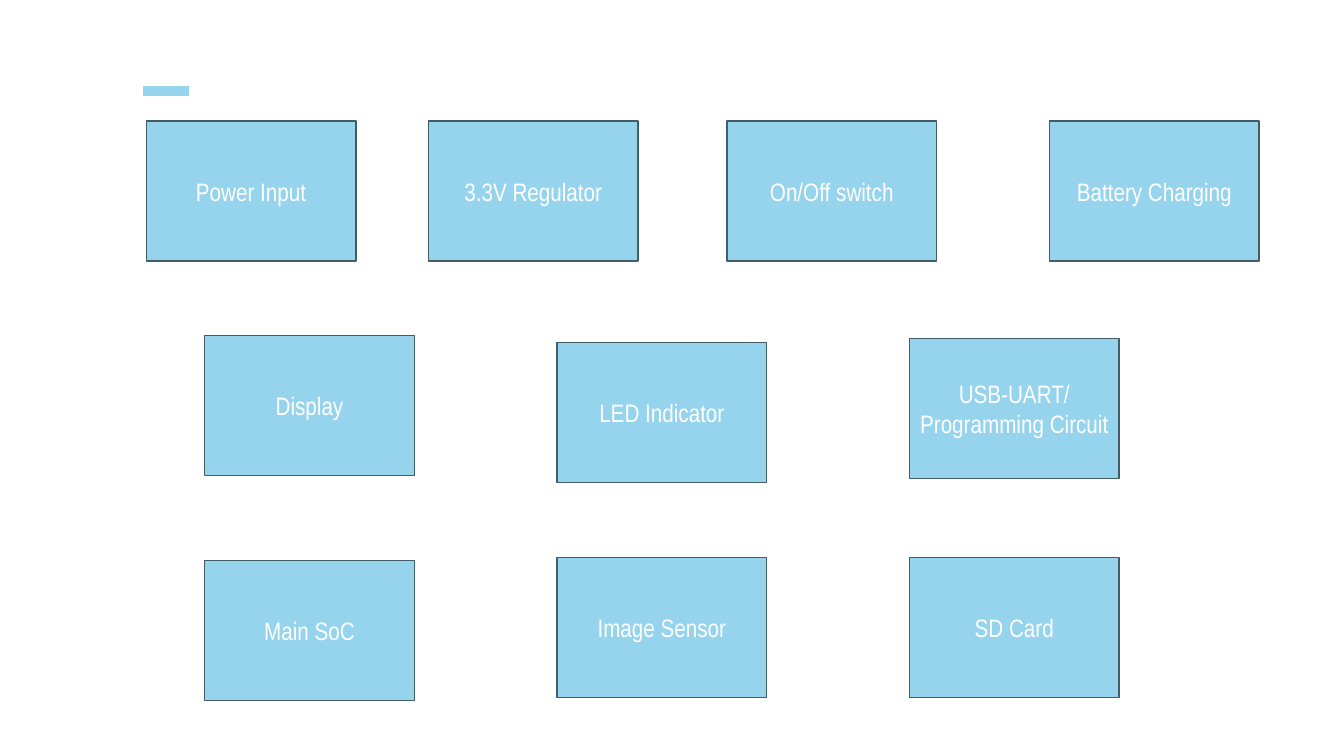
from dataclasses import dataclass

from lxml.etree import SubElement
from pptx import Presentation
from pptx.dml.color import RGBColor
from pptx.enum.shapes import MSO_CONNECTOR as Connector, MSO_SHAPE as Shape
from pptx.enum.text import MSO_ANCHOR as Anchor, PP_ALIGN as Align
from pptx.oxml.ns import qn
from pptx.slide import Slide
from pptx.util import Inches, Pt

PAGE_WIDTH = Inches(13.33)
PAGE_HEIGHT = Inches(7.5)
BLOCK_WIDTH = 15.6
BLOCK_HEIGHT = 18.53
COLUMN_START = 15.23
COLUMN_STEP = 26.22
SKY = "96D3ED"
SLATE = "425C68"
WHITE = "FFFFFF"
FONT = "Arial Narrow"


@dataclass(frozen=True)
class Block:
    """A component box placed by percentages of the slide's size."""

    label: str
    left: float
    top: float


def column(index: int) -> float:
    """Return the left edge of a column in the lower rows."""
    return COLUMN_START + index * COLUMN_STEP


BLOCKS = [
    Block("Power Input", 10.88, 16),
    Block("3.3V Regulator", 31.88, 16),
    Block("On/Off switch", 54.09, 16),
    Block("Battery Charging", 78.09, 16),
    Block("Display", column(0), 44.4),
    Block("LED Indicator", column(1), 45.33),
    Block("USB-UART/ Programming Circuit", column(2), 44.8),
    Block("Main SoC", column(0), 74.13),
    Block("Image Sensor", column(1), 73.73),
    Block("SD Card", column(2), 73.73),
]


def across(percent: float) -> int:
    """Convert a share of the slide's width to a length."""
    return round(PAGE_WIDTH * percent / 100)


def down(percent: float) -> int:
    """Convert a share of the slide's height to a length."""
    return round(PAGE_HEIGHT * percent / 100)


def color(value: str) -> RGBColor:
    """Convert a hex string to a colour."""
    return RGBColor.from_string(value)


def draw_accent(page: Slide) -> None:
    """Draw the short thick bar above the blocks."""
    accent = page.shapes.add_connector(
        Connector.STRAIGHT, across(10.65), down(12), across(14.03), down(12)
    )
    accent.line.color.rgb = color(SKY)
    accent.line.width = Pt(7)
    SubElement(accent.element.spPr, qn("a:effectLst"))


def draw_block(page: Slide, block: Block) -> None:
    """Draw a component box with its centred label."""
    box = page.shapes.add_shape(
        Shape.RECTANGLE,
        across(block.left),
        down(block.top),
        across(BLOCK_WIDTH),
        down(BLOCK_HEIGHT),
    )
    box.shadow.inherit = False
    box.fill.solid()
    box.fill.fore_color.rgb = color(SKY)
    box.line.color.rgb = color(SLATE)
    box.line.width = Pt(1)
    frame = box.text_frame
    frame.text = block.label
    frame.word_wrap = True
    frame.vertical_anchor = Anchor.MIDDLE
    para = frame.paragraphs[0]
    para.alignment = Align.CENTER
    for span in para.runs:
        span.font.name = FONT
        span.font.size = Pt(18)
        span.font.color.rgb = color(WHITE)


def main() -> None:
    """Build the component overview and save it."""
    deck = Presentation()
    deck.slide_width = PAGE_WIDTH
    deck.slide_height = PAGE_HEIGHT
    page = deck.slides.add_slide(deck.slide_layouts[6])
    draw_accent(page)
    for block in BLOCKS:
        draw_block(page, block)
    deck.save("out.pptx")


if __name__ == "__main__":
    main()
